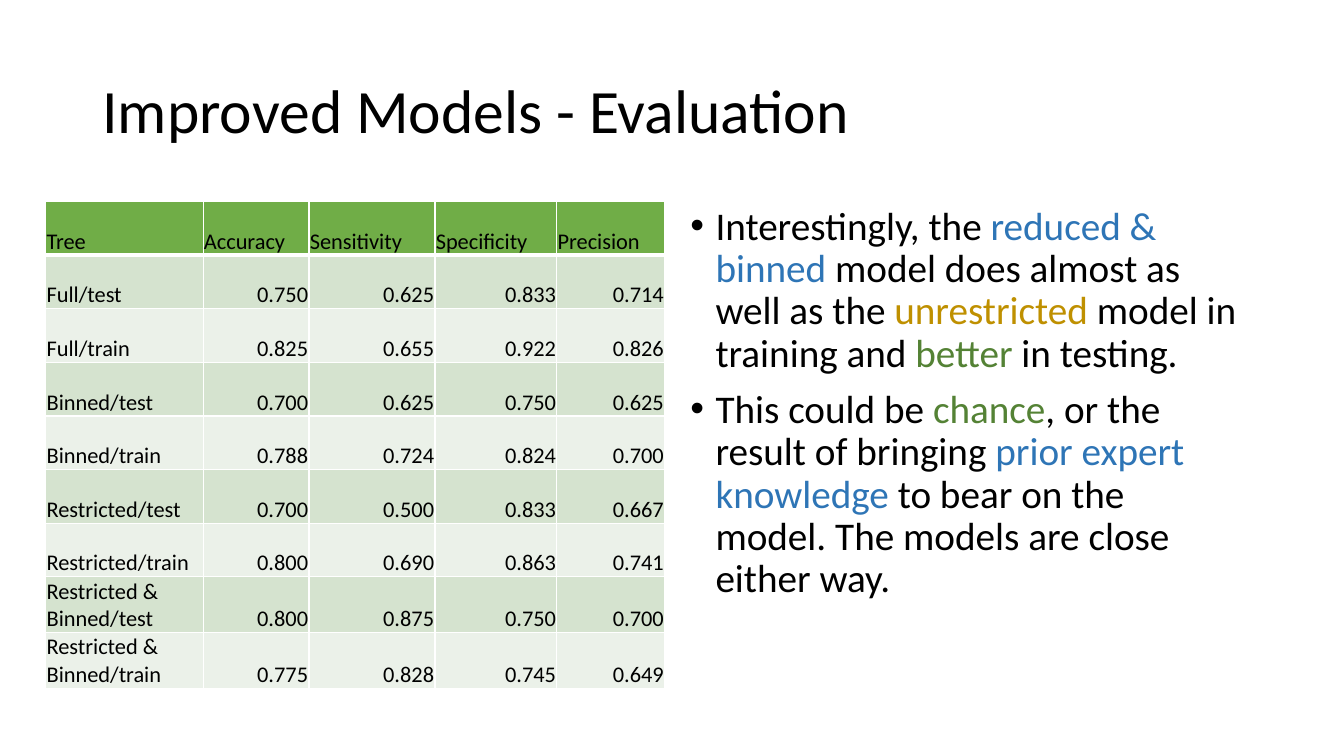
from lxml.etree import SubElement
from pptx import Presentation
from pptx.dml.color import RGBColor
from pptx.enum.text import MSO_ANCHOR as Anchor, PP_ALIGN as Align
from pptx.oxml.ns import qn
from pptx.util import Pt

COLORS = {
    "black": "000000", "white": "FFFFFF", "header": "70AD47",
    "band_dark": "D5E3CF", "band_light": "EBF1E9",
    "blue": "2E75B6", "gold": "BF9000", "green": "548235",
}

COLUMN_WIDTHS = [112.4, 75.6, 90, 87.1, 77]
ROW_HEIGHT = 38.3
RESULTS = [
    ("Tree", "Accuracy", "Sensitivity", "Specificity", "Precision"),
    ("Full/test", "0.750", "0.625", "0.833", "0.714"),
    ("Full/train", "0.825", "0.655", "0.922", "0.826"),
    ("Binned/test", "0.700", "0.625", "0.750", "0.625"),
    ("Binned/train", "0.788", "0.724", "0.824", "0.700"),
    ("Restricted/test", "0.700", "0.500", "0.833", "0.667"),
    ("Restricted/train", "0.800", "0.690", "0.863", "0.741"),
    ("Restricted & Binned/test", "0.800", "0.875", "0.750", "0.700"),
    ("Restricted & Binned/train", "0.775", "0.828", "0.745", "0.649"),
]

FINDINGS = [
    [("Interestingly, the ", "black"), ("reduced & binned", "blue"),
     (" model does almost as well as the ", "black"), ("unrestricted", "gold"),
     (" model in training and ", "black"), ("better", "green"),
     (" in testing.", "black")],
    [("This could be ", "black"), ("chance", "green"),
     (", or the result of bringing ", "black"),
     ("prior expert knowledge", "blue"),
     (" to bear on the model. The models are close either way.", "black")],
]


def rgb(name):
    return RGBColor.from_string(COLORS[name])


class SlideBuilder:
    font = "Calibri"
    title_size, body_size, table_size = 44, 28, 16

    def __init__(self, slide):
        self.slide = slide

    def add_run(self, paragraph, text, size, color="black"):
        run = paragraph.add_run()
        run.text = text
        run.font.name = self.font
        run.font.size = Pt(size)
        run.font.color.rgb = rgb(color)

    def title(self, text, left, top, width, height):
        shape = self.slide.shapes.title
        shape.left, shape.top = Pt(left), Pt(top)
        shape.width, shape.height = Pt(width), Pt(height)
        shape.text_frame.vertical_anchor = Anchor.MIDDLE
        paragraph = shape.text_frame.paragraphs[0]
        paragraph.alignment = Align.LEFT
        paragraph.line_spacing = 0.9
        self.add_run(paragraph, text, self.title_size)

    def bullets(self, items, left, top, width, height):
        shape = self.slide.shapes.add_textbox(Pt(left), Pt(top), Pt(width), Pt(height))
        frame = shape.text_frame
        frame.word_wrap = True
        for index, runs in enumerate(items):
            paragraph = frame.add_paragraph() if index else frame.paragraphs[0]
            paragraph.line_spacing = 0.9
            paragraph.space_before = Pt(10)
            properties = paragraph._p.get_or_add_pPr()
            properties.set("marL", str(Pt(18)))
            properties.set("indent", str(-Pt(18)))
            SubElement(properties, qn("a:buFont"), typeface="Arial")
            SubElement(properties, qn("a:buChar"), char="•")
            for text, color in runs:
                self.add_run(paragraph, text, self.body_size, color)

    def cell_borders(self, cell, bottom_width):
        properties = cell._tc.get_or_add_tcPr()
        for side, width in zip("LRTB", (1, 1, 1, bottom_width)):
            line = SubElement(properties, qn(f"a:ln{side}"), w=str(Pt(width)))
            fill = SubElement(line, qn("a:solidFill"))
            SubElement(fill, qn("a:srgbClr"), val=COLORS["white"])

    def table(self, rows, column_widths, row_height, left, top):
        frame = self.slide.shapes.add_table(
            len(rows), len(column_widths), Pt(left), Pt(top),
            Pt(sum(column_widths)), Pt(row_height * len(rows)))
        table = frame.table
        for column, width in zip(table.columns, column_widths):
            column.width = Pt(width)
        for row_index, values in enumerate(rows):
            table.rows[row_index].height = Pt(row_height)
            band = "band_dark" if row_index % 2 else "band_light"
            for column_index, value in enumerate(values):
                cell = table.cell(row_index, column_index)
                self.cell_borders(cell, 1 if row_index else 3)
                cell.fill.solid()
                cell.fill.fore_color.rgb = rgb(band if row_index else "header")
                cell.vertical_anchor = Anchor.BOTTOM
                cell.margin_left = cell.margin_right = cell.margin_top = Pt(0.6)
                cell.margin_bottom = Pt(0)
                paragraph = cell.text_frame.paragraphs[0]
                is_number = row_index and column_index
                paragraph.alignment = Align.RIGHT if is_number else Align.LEFT
                self.add_run(paragraph, value, self.table_size)


def main():
    presentation = Presentation()
    presentation.slide_width, presentation.slide_height = Pt(960), Pt(540)
    title_only = presentation.slide_layouts[5]
    builder = SlideBuilder(presentation.slides.add_slide(title_only))

    # Title
    builder.title("Improved Models - Evaluation", 66, 28.75, 828, 104.4)
    # Scores of each tree
    builder.table(RESULTS, COLUMN_WIDTHS, ROW_HEIGHT, 32.7, 144)
    # Findings
    builder.bullets(FINDINGS, 486, 143.75, 408, 342.6)

    presentation.save("out.pptx")


if __name__ == "__main__":
    main()
